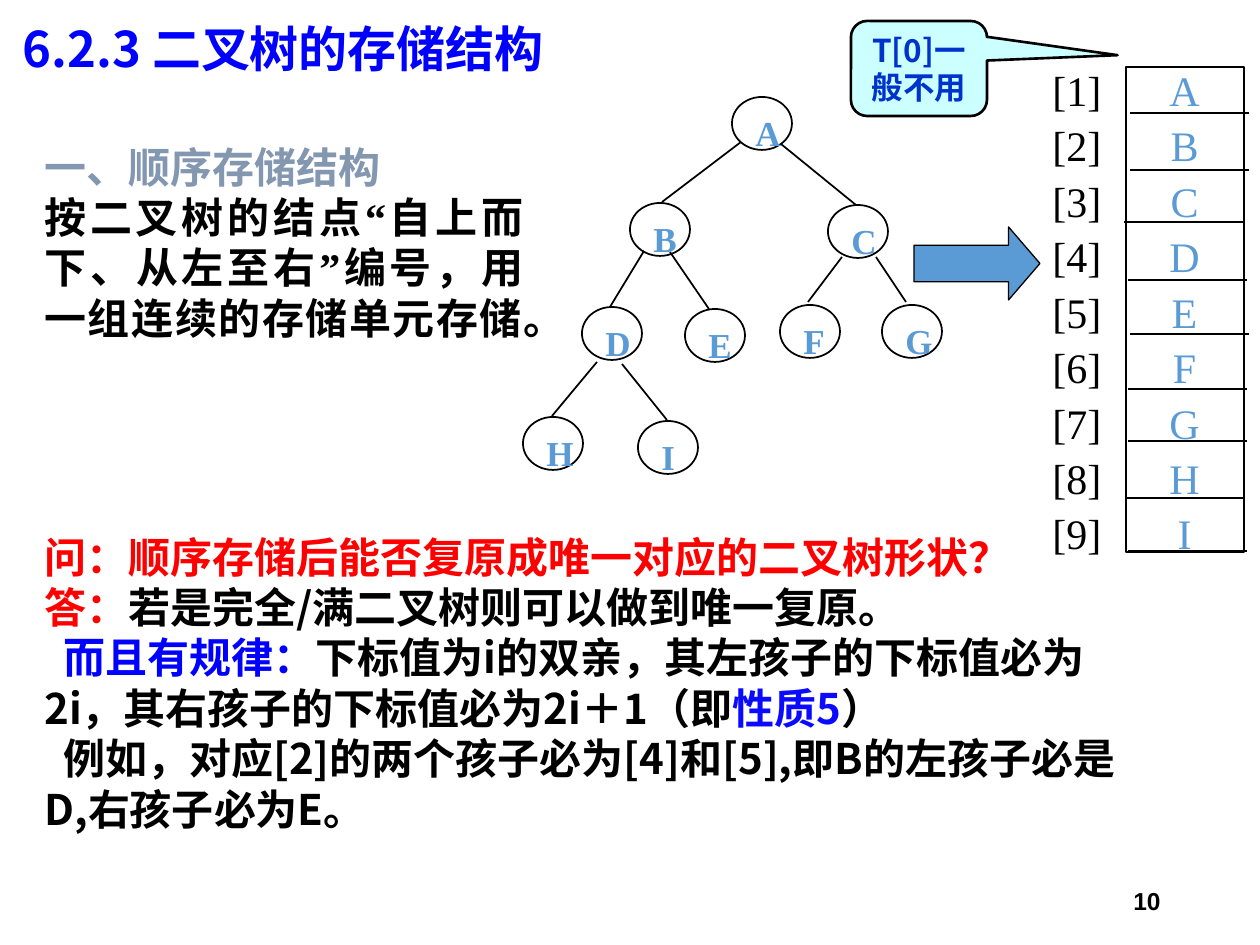
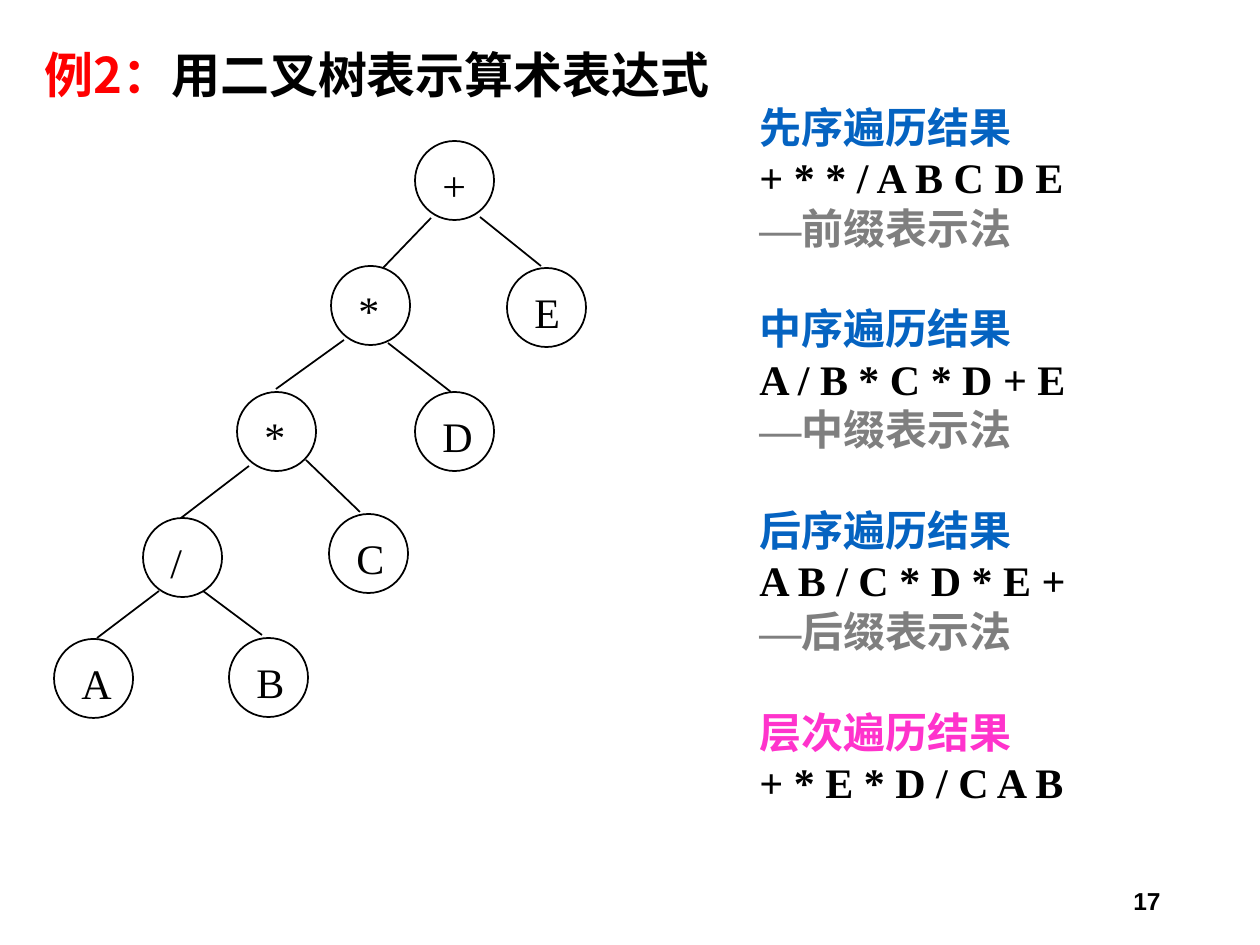
from pptx import Presentation, util as u
from pptx.dml.color import RGBColor
from pptx.enum import shapes, text
from pptx.oxml.ns import qn
from lxml import etree

PX = u.Inches(1) / 126
NOTO, TIMES, ARIAL = "Noto Sans CJK SC", "Times New Roman", "Arial"
LATIN_MARKS = "“”—"
LEADING = 1.2

BLACK = RGBColor(0, 0, 0)
RED = RGBColor(0xFF, 0, 0)
BLUE = RGBColor(0, 0, 0xFF)
RULE_BLUE = RGBColor(0x0A, 0x0A, 0xFF)
STEEL = RGBColor(0x84, 0x97, 0xB0)
SKY = RGBColor(0x5B, 0x9B, 0xD5)
NAVY = RGBColor(0, 0x33, 0xCC)
AQUA = RGBColor(0xCC, 0xFF, 0xFF)
LINK = RGBColor(0x05, 0x63, 0xC1)
GREY = RGBColor(0x7F, 0x7F, 0x7F)
PINK = RGBColor(0xFF, 0x33, 0xCC)

LEFT, RIGHT = text.PP_ALIGN.LEFT, text.PP_ALIGN.RIGHT
CENTER, JUSTIFY = text.PP_ALIGN.CENTER, text.PP_ALIGN.JUSTIFY
MIDDLE = text.MSO_ANCHOR.MIDDLE

# Spans are (text, font, colour); a paragraph is a list of spans.
STORAGE = {
    "title": ((10, 16, 725, 72), [("6.2.3 二叉树的存储结构", NOTO, BLUE)]),
    "number": "10",
    "tree": {
        "size": (60, 53), "label_offset": (11, 8), "points": 20,
        "bold": True, "color": SKY,
        "nodes": [("A", 732, 97), ("B", 630, 203), ("C", 828, 205),
                  ("D", 582, 307), ("E", 685, 309), ("F", 780, 305),
                  ("G", 882, 305), ("H", 523, 417), ("I", 638, 421)],
        "edges": [(741, 142, 662, 202), (781, 144, 856, 205),
                  (644, 251, 610, 307), (670, 252, 709, 309),
                  (842, 257, 808, 302), (876, 257, 906, 302),
                  (597, 362, 552, 416), (622, 364, 667, 420)],
    },
}
METHOD_HEAD = [("一、顺序存储结构", TIMES, STEEL)]
METHOD_BODY = [
    ("按二叉树的结点", NOTO, BLACK), ("“", TIMES, BLACK),
    ("自上而下、从左至右", NOTO, BLACK), ("”", TIMES, BLACK),
    ("编号，用一组连续的存储单元存储。", NOTO, BLACK),
]
QUESTION = [
    [("问：顺序存储后能否复原成唯一对应的二叉树形状？", TIMES, RED)],
    [("答：", NOTO, RED), ("若是完全/满二叉树则可以做到唯一复原。", NOTO, BLACK)],
]
RULE = [
    [("而且有规律：", NOTO, BLUE),
     ("下标值为i的双亲，其左孩子的下标值必为2i，其右孩子的下标值必为2i＋1（即", NOTO, BLACK),
     ("性质5", NOTO, RULE_BLUE), ("）", NOTO, BLACK)],
    [("例如，对应[2]的两个孩子必为[4]和[5],即B的左孩子必是D,右孩子必为E。", NOTO, BLACK)],
]
CELLS = "ABCDEFGHI"
CELL_LINES = [(1130, 113), (1130, 170), (1124, 222), (1128, 280), (1130, 334),
              (1128, 389), (1128, 441), (1125, 498), (1128, 551)]

EXPRESSION = {
    "title": ((32, 42, 756, 72),
              [("例2：", NOTO, RED), ("用二叉树表示算术表达式", NOTO, BLACK)]),
    "number": "17",
    "tree": {
        "size": (79, 79), "label_offset": (15, 12), "points": 24,
        "bold": False, "color": BLACK,
        "nodes": [("+", 415, 141), ("*", 331, 266), ("E", 507, 268),
                  ("*", 237, 392), ("D", 415, 392), ("/", 143, 518),
                  ("C", 329, 514), ("A", 54, 639), ("B", 229, 638)],
        "edges": [(431, 218, 383, 268), (480, 217, 541, 266),
                  (344, 340, 276, 389), (388, 343, 451, 392),
                  (249, 466, 181, 518), (306, 460, 360, 512),
                  (159, 591, 97, 638), (203, 591, 262, 635)],
    },
}
TRAVERSALS = [
    ("先序遍历结果", LINK, "+ * * / A B C D E", "前缀表示法"),
    ("中序遍历结果", LINK, "A / B * C * D + E", "中缀表示法"),
    ("后序遍历结果", LINK, "A B / C * D * E +", "后缀表示法"),
    ("层次遍历结果", PINK, "+ * E * D / C A B", None),
]


def emu(*pixels):
    return [round(value * PX) for value in pixels]


def write(para, spans, points, bold=True, align=LEFT, spacing=None, before=0, indent=0):
    """Fill a paragraph with spans; spacing is a multiple, or a fixed pitch when None."""
    if indent:
        properties = para._p.get_or_add_pPr()
        properties.set("marL", "0")
        properties.set("indent", str(emu(indent)[0]))
    para.alignment = align
    para.line_spacing = spacing or u.Pt(points * LEADING)
    para.space_before = u.Pt(before)
    for words, font, color in spans:
        span = para.add_run()
        span.text = words
        span.font.name, span.font.size, span.font.bold = font, u.Pt(points), bold
        span.font.color.rgb = color
        east = etree.SubElement(span._r.get_or_add_rPr(), qn("a:ea"))
        east.set("typeface", font if words in LATIN_MARKS else NOTO)


def add_text(page, place, wrap=True, anchor=text.MSO_ANCHOR.TOP):
    frame = page.shapes.add_textbox(*emu(*place)).text_frame
    frame.word_wrap, frame.vertical_anchor = wrap, anchor
    return frame


def fill_paragraphs(frame, paragraphs, points, **options):
    """Write each (spans, own options) pair as one paragraph."""
    for index, (spans, own) in enumerate(paragraphs):
        para = frame.add_paragraph() if index else frame.paragraphs[0]
        write(para, spans, points, **{**options, **own})


def add_outline(page, kind, place, fill=None, width=1):
    shape = page.shapes.add_shape(kind, *emu(*place))
    shape.shadow.inherit = False
    if fill is None:
        shape.fill.background()
    else:
        shape.fill.solid()
        shape.fill.fore_color.rgb = fill
    shape.line.color.rgb, shape.line.width = BLACK, u.Pt(width)
    return shape


def add_line(page, ends):
    line = page.shapes.add_connector(shapes.MSO_CONNECTOR.STRAIGHT, *emu(*ends))
    line.line.color.rgb, line.line.width = BLACK, u.Pt(1)
    etree.SubElement(line._element.spPr, qn("a:effectLst"))


def add_tree(page, tree):
    width, height = tree["size"]
    right, down = tree["label_offset"]
    for letter, left, top in tree["nodes"]:
        add_outline(page, shapes.MSO_SHAPE.OVAL, (left, top, width, height))
        frame = add_text(page, (left + right, top + down, 54, 60))
        frame.margin_right = 0
        write(frame.paragraphs[0], [(letter, TIMES, tree["color"])],
              tree["points"], tree["bold"])
    for ends in tree["edges"]:
        add_line(page, ends)


def add_page(deck, content):
    """Add a slide with its title, page number and tree."""
    page = deck.slides.add_slide(deck.slide_layouts[5])
    place, spans = content["title"]
    title = page.shapes.title
    title.left, title.top, title.width, title.height = emu(*place)
    frame = title.text_frame
    frame.word_wrap, frame.vertical_anchor = True, MIDDLE
    frame.auto_size = text.MSO_AUTO_SIZE.NONE
    write(frame.paragraphs[0], spans, 28, spacing=0.9)
    number = add_text(page, (890, 876, 283, 50), anchor=MIDDLE)
    write(number.paragraphs[0], [(content["number"], ARIAL, BLACK)], 14, align=RIGHT)
    add_tree(page, content["tree"])
    return page


def add_array(page):
    add_outline(page, shapes.MSO_SHAPE.RECTANGLE, (1126, 67, 118, 485))
    keys = [f"[{index}]" for index in range(1, len(CELLS) + 1)]
    pitch = u.Pt(24 * LEADING * 1.1)
    for left, width, words, color, align in [(1040, 74, keys, BLACK, LEFT),
                                             (1157, 55, CELLS, SKY, CENTER)]:
        frame = add_text(page, (left, 53, width, 510), wrap=False)
        fill_paragraphs(frame, [([(word, TIMES, color)], {}) for word in words],
                        24, bold=False, align=align, spacing=pitch)
    for left, top in CELL_LINES:
        add_line(page, (left, top, left + 119, top))


def build_storage(deck):
    page = add_page(deck, STORAGE)
    method = add_text(page, (32, 116, 504, 252), anchor=MIDDLE)
    fill_paragraphs(method, [(METHOD_HEAD, {}), (METHOD_BODY, {"align": JUSTIFY})], 24)
    add_array(page)

    arrow = add_outline(page, shapes.MSO_SHAPE.RIGHT_ARROW, (914, 227, 126, 73), SKY, 0.75)
    arrow.adjustments[0], arrow.adjustments[1] = 0.5, 0.43

    answer = add_text(page, (32, 525, 1134, 315))
    fill_paragraphs(answer, [(spans, {}) for spans in QUESTION]
                    + [(spans, {"indent": 19}) for spans in RULE], 24)

    callout = add_outline(page, shapes.MSO_SHAPE.ROUNDED_RECTANGULAR_CALLOUT,
                          (851, 21, 136, 95), AQUA, 1.5)
    for index, value in enumerate((1.46, -0.14, 0.17)):
        callout.adjustments[index] = value
    callout.text_frame.word_wrap = True
    callout.text_frame.vertical_anchor = MIDDLE
    write(callout.text_frame.paragraphs[0], [("T[0]一般不用", NOTO, NAVY)], 18, align=CENTER)


def build_expression(deck):
    page = add_page(deck, EXPRESSION)
    paragraphs = []
    for heading, color, order, notation in TRAVERSALS:
        gap = 24 * LEADING if paragraphs else 0
        paragraphs.append(([(heading, TIMES, color)], {"before": gap}))
        paragraphs.append(([(order, TIMES, BLACK)], {}))
        if notation:
            paragraphs.append(([("—", TIMES, GREY), (notation, TIMES, GREY)], {}))
    fill_paragraphs(add_text(page, (747, 95, 335, 726), wrap=False), paragraphs, 24)


def main():
    deck = Presentation()
    deck.slide_width, deck.slide_height = emu(1260, 945)
    build_storage(deck)
    build_expression(deck)
    deck.save("out.pptx")


if __name__ == "__main__":
    main()
